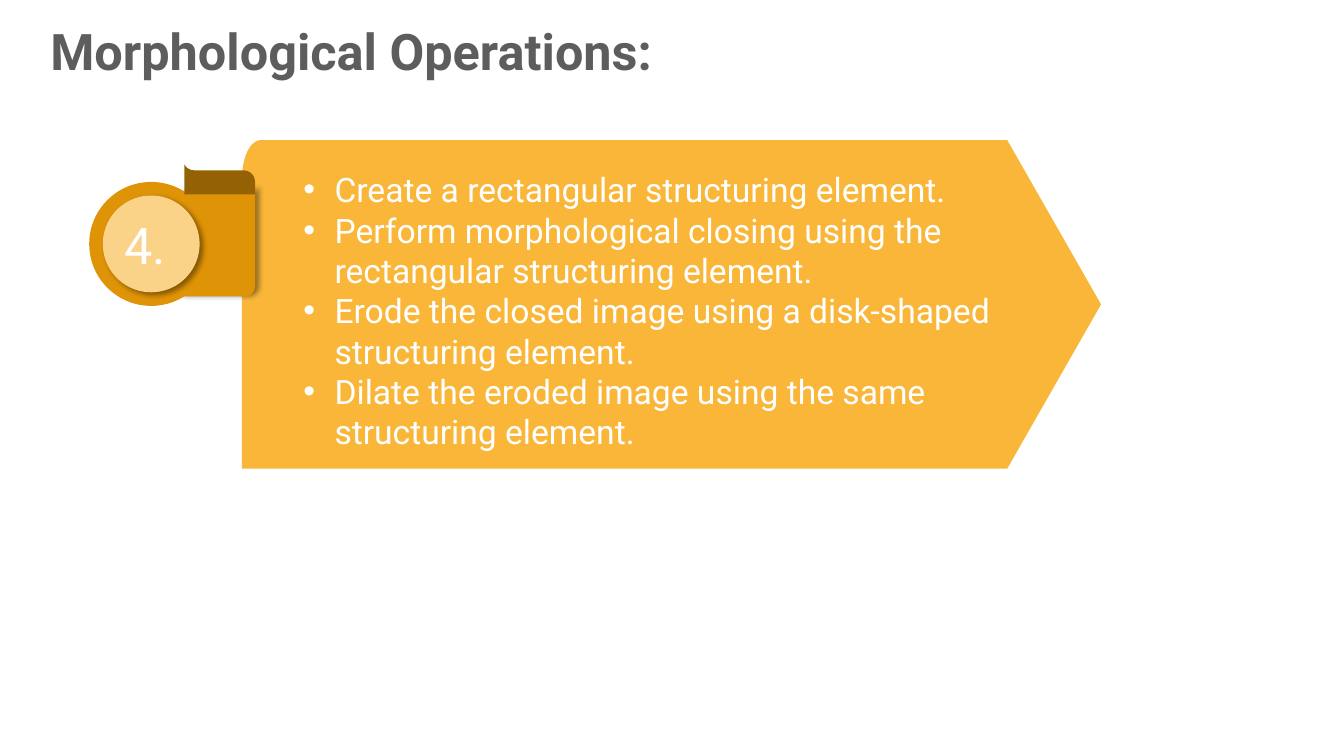
from lxml import etree
from pptx import Presentation
from pptx.dml.color import RGBColor
from pptx.enum.shapes import MSO_SHAPE
from pptx.enum.text import MSO_ANCHOR, PP_ALIGN
from pptx.oxml.ns import qn
from pptx.util import Pt

EMU_PER_PX = 9144  # 100 px to the inch
CURVE_STEPS = 12

WHITE = RGBColor(0xFF, 0xFF, 0xFF)
TITLE_GREY = RGBColor(0x5D, 0x5D, 0x5D)
AMBER = RGBColor(0xF9, 0xB6, 0x39)
DARK_AMBER = RGBColor(0xDF, 0x93, 0x07)
PALE_AMBER = RGBColor(0xFB, 0xD3, 0x88)
BROWN = RGBColor(0x94, 0x62, 0x04)

STEPS = [
    "Create a rectangular structuring element.",
    "Perform morphological closing using the rectangular structuring element.",
    "Erode the closed image using a disk-shaped structuring element.",
    "Dilate the eroded image using the same structuring element.",
]

# Outlines: (x, y) is a corner, (x1, y1, x2, y2, x, y) a cubic curve to x, y.
BANNER = [(259, 139), (999, 139), (1092, 302), (999, 465), (240, 465), (240, 178),
          (240, 156, 248, 139, 259, 139)]
RIBBON = [(253, 184), (253, 283), (253, 289, 249, 294, 243, 294), (178, 294),
          (178, 191), (244, 191), (249, 190, 253, 187, 253, 184)]
RIBBON_FOLD = [(253, 181), (253, 193), (183, 193), (183, 163),
               (184, 166, 188, 169, 193, 169), (241, 169),
               (248, 169, 253, 174, 253, 181)]


def px(length):
    return round(length * EMU_PER_PX)


def flatten(outline):
    """Turn corners and cubic curves into a plain list of points."""
    points = []
    for step in outline:
        if len(step) == 2:
            points.append(step)
            continue
        x0, y0 = points[-1]
        x1, y1, x2, y2, x3, y3 = step
        for i in range(1, CURVE_STEPS + 1):
            t = i / CURVE_STEPS
            a, b, c, d = (1 - t) ** 3, 3 * t * (1 - t) ** 2, 3 * t * t * (1 - t), t ** 3
            points.append((a * x0 + b * x1 + c * x2 + d * x3,
                           a * y0 + b * y1 + c * y2 + d * y3))
    return points


class SlideBuilder:
    font = "Roboto"

    def __init__(self, slide):
        self.slide = slide

    def paint(self, shape, color, shadow_angle):
        """Fill without a line; a shadow is cast only when an angle is given."""
        shape.fill.solid()
        shape.fill.fore_color.rgb = color
        shape.line.fill.background()
        shape.shadow.inherit = False
        if shadow_angle is not None:
            effects = shape.element.spPr.find(qn("a:effectLst"))
            shadow = etree.SubElement(
                effects, qn("a:outerShdw"), blurRad=str(Pt(4)), dist=str(Pt(3)),
                dir=str(shadow_angle * 60000), algn="ctr", rotWithShape="0")
            black = etree.SubElement(shadow, qn("a:srgbClr"), val="000000")
            etree.SubElement(black, qn("a:alpha"), val="40000")
        return shape

    def outline(self, outline, color, shadow_angle=None):
        points = [(px(x), px(y)) for x, y in flatten(outline)]
        builder = self.slide.shapes.build_freeform(*points[0], scale=1.0)
        builder.add_line_segments(points[1:], close=True)
        return self.paint(builder.convert_to_shape(), color, shadow_angle)

    def disc(self, center_x, center_y, diameter, color, shadow_angle=None):
        disc = self.slide.shapes.add_shape(
            MSO_SHAPE.OVAL, px(center_x - diameter / 2), px(center_y - diameter / 2),
            px(diameter), px(diameter))
        return self.paint(disc, color, shadow_angle)

    def text_box(self, left, top, width, height):
        frame = self.slide.shapes.add_textbox(
            px(left), px(top), px(width), px(height)).text_frame
        frame.word_wrap = True
        return frame

    def set_text(self, frame, text, size, color, bold=False):
        frame.text = text
        for paragraph in frame.paragraphs:
            paragraph.alignment = PP_ALIGN.LEFT
            for run in paragraph.runs:
                run.font.name = self.font
                run.font.size = Pt(size)
                run.font.bold = bold
                run.font.color.rgb = color

    def title(self, text, left, top, width, height):
        frame = self.text_box(left, top, width, height)
        frame.vertical_anchor = MSO_ANCHOR.MIDDLE
        frame.margin_left = frame.margin_right = px(5)
        frame.margin_top = frame.margin_bottom = 0
        self.set_text(frame, text, 36, TITLE_GREY, bold=True)

    def number(self, disc, text):
        frame = disc.text_frame
        frame.word_wrap = True
        frame.vertical_anchor = MSO_ANCHOR.MIDDLE
        frame.margin_left = px(7)
        frame.margin_right = frame.margin_top = frame.margin_bottom = 0
        self.set_text(frame, text, 36, WHITE)

    def bullets(self, items, left, top, width, height, indent=31):
        frame = self.text_box(left, top, width, height)
        self.set_text(frame, "\n".join(items), 24, WHITE)
        for paragraph in frame.paragraphs:
            properties = paragraph._p.get_or_add_pPr()
            properties.set("marL", str(px(indent)))
            properties.set("indent", str(-px(indent)))
            etree.SubElement(properties, qn("a:buFont"), typeface="Arial")
            etree.SubElement(properties, qn("a:buChar"), char="•")


def main():
    presentation = Presentation()
    presentation.slide_width, presentation.slide_height = px(1333), px(750)
    page = SlideBuilder(presentation.slides.add_slide(presentation.slide_layouts[6]))

    page.title("Morphological Operations:", 45, 26, 1244, 48)
    page.outline(BANNER, AMBER)
    page.outline(RIBBON, DARK_AMBER, shadow_angle=0)
    page.disc(150, 242, 123, DARK_AMBER)
    badge = page.disc(150, 242, 96, PALE_AMBER, shadow_angle=45)
    page.number(badge, "4.")
    page.outline(RIBBON_FOLD, BROWN)
    page.bullets(STEPS, 291, 163, 771, 333)

    presentation.save("out.pptx")


if __name__ == "__main__":
    main()
